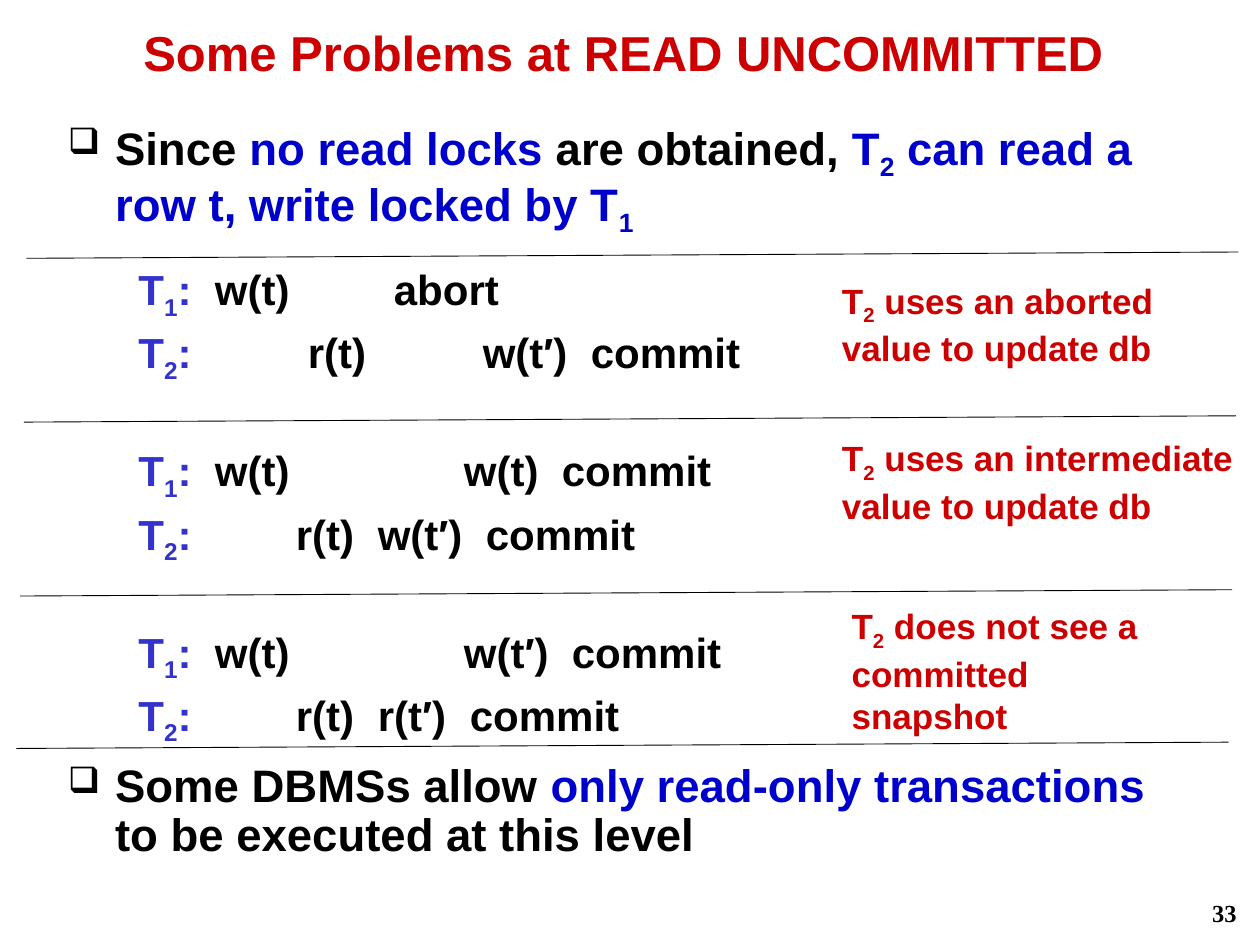
from lxml import etree
from pptx import Presentation
from pptx import util as u
from pptx.dml.color import RGBColor
from pptx.enum import shapes, text
from pptx.oxml import ns

COLORS = {"black": "000000", "red": "CC0000", "blue": "0000CC", "indigo": "3333CC"}

SCHEDULES = [
    ("T_1:", [(43.7, "w(t)"), (146, "abort")]),
    ("T_2:", [(96.8, "r(t)"), (196.8, "w(t′)"), (258.5, "commit")]),
    ("T_1:", [(43.7, "w(t)"), (186, "w(t)"), (242, "commit")]),
    ("T_2:", [(90, "r(t)"), (136.8, "w(t′)"), (198.5, "commit")]),
    ("T_1:", [(43.7, "w(t)"), (186, "w(t′)"), (247.7, "commit")]),
    ("T_2:", [(90, "r(t)"), (136.8, "r(t′)"), (189.4, "commit")]),
]
PROBLEMS = [
    (474, 156, 198, ["T_2 uses an aborted", "value to update db"]),
    (474, 246, 242, ["T_2 uses an intermediate", "value to update db"]),
    (479.5, 342, 198, ["T_2 does not see a", "committed snapshot"]),
]
RULES = [(15.1, 147.6), (13.7, 241.2), (11.5, 340.6), (9.4, 427.7)]
CLAIMS = [
    (65.5, [("Since ", "black"), ("no read locks ", "blue"), ("are obtained, ", "black"),
            ("T_2 can read a row t, write locked by T_1", "blue")]),
    (432.7, [("Some DBMSs allow ", "black"), ("only read-only transactions", "blue"),
             (" to be executed at this level", "black")]),
]


class Deck:
    def __init__(self, width, height, font="Arial"):
        self.presentation = Presentation()
        self.presentation.slide_width = u.Pt(width)
        self.presentation.slide_height = u.Pt(height)
        self.slide = self.presentation.slides.add_slide(self.presentation.slide_layouts[5])
        self.font = font

    def apply(self, target, **values):
        for name, value in values.items():
            setattr(target, name, value)

    def compose(self, paragraph, pieces, size, font=None, **layout):
        self.apply(paragraph, **layout)
        for content, color in pieces:
            first, *marked = content.split("_")
            parts = [(first, False)]
            for piece in marked:
                parts += [(piece[0], True), (piece[1:], False)]
            for part, lowered in parts:
                if not part:
                    continue
                run = paragraph.add_run()
                run.text = part
                self.apply(run.font, name=font or self.font, size=u.Pt(size), bold=True)
                run.font.color.rgb = RGBColor.from_string(COLORS[color])
                if lowered:
                    run._r.get_or_add_rPr().set("baseline", "-25000")

    def title(self, content):
        heading = self.slide.shapes.title
        self.apply(heading, left=0, top=u.Pt(9.4), width=u.Pt(720), height=u.Pt(41))
        self.apply(heading.text_frame, auto_size=text.MSO_AUTO_SIZE.NONE,
                   vertical_anchor=text.MSO_ANCHOR.MIDDLE)
        self.compose(heading.text_frame.paragraphs[0], [(content, "red")], 28,
                     alignment=text.PP_ALIGN.CENTER)

    def box(self, left, top, width, height, count=1):
        frame = self.slide.shapes.add_textbox(*map(u.Pt, (left, top, width, height))).text_frame
        frame.word_wrap = True
        return [frame.paragraphs[0]] + [frame.add_paragraph() for _ in range(count - 1)]

    def extend(self, paragraph, tag, parent=None, **values):
        holder = paragraph._p.get_or_add_pPr() if parent is None else parent
        return etree.SubElement(holder, ns.qn(tag), values)

    def claim(self, top, pieces):
        paragraph, = self.box(31.7, top, 648, 64)
        self.compose(paragraph, pieces, 26, line_spacing=0.9, space_before=u.Pt(5))
        properties = paragraph._p.get_or_add_pPr()
        properties.set("marL", str(u.Pt(27)))
        properties.set("indent", str(-u.Pt(27)))
        self.extend(paragraph, "a:buSzPct", val="80000")
        self.extend(paragraph, "a:buChar", char="❑")

    def schedules(self, rows):
        for index, (paragraph, (label, steps)) in enumerate(
                zip(self.box(72, 144, 400, 290, len(rows)), rows)):
            gap = 31.4 if index and index % 2 == 0 else 0
            operations = "".join("\t" + step for _, step in steps)
            self.compose(paragraph, [(label, "indigo"), (operations, "black")], 24,
                         line_spacing=1.1, space_before=u.Pt(gap))
            stops = self.extend(paragraph, "a:tabLst")
            for position, _ in steps:
                self.extend(paragraph, "a:tab", stops, pos=str(u.Pt(position)), algn="l")

    def problem(self, left, top, width, lines):
        for paragraph, line in zip(self.box(left, top, width, 56, len(lines)), lines):
            self.compose(paragraph, [(line, "red")], 20)

    def rule(self, left, top):
        line = self.slide.shapes.add_connector(
            shapes.MSO_CONNECTOR.STRAIGHT,
            *map(u.Pt, (left, top, left + 692.6, top - 3.6)))
        line.line.width = u.Pt(0.5)
        line.line.color.rgb = RGBColor.from_string(COLORS["black"])
        etree.SubElement(line._element.spPr, ns.qn("a:effectLst"))

    def page_number(self, number):
        paragraph, = self.box(563.8, 509.8, 150, 24)
        self.compose(paragraph, [(number, "black")], 14, "Times New Roman",
                     alignment=text.PP_ALIGN.RIGHT)


def main():
    deck = Deck(720, 540)
    deck.title("Some Problems at READ UNCOMMITTED ")
    for claim in CLAIMS:
        deck.claim(*claim)
    deck.schedules(SCHEDULES)
    for problem in PROBLEMS:
        deck.problem(*problem)
    for rule in RULES:
        deck.rule(*rule)
    deck.page_number("33")
    deck.presentation.save("out.pptx")


if __name__ == "__main__":
    main()
